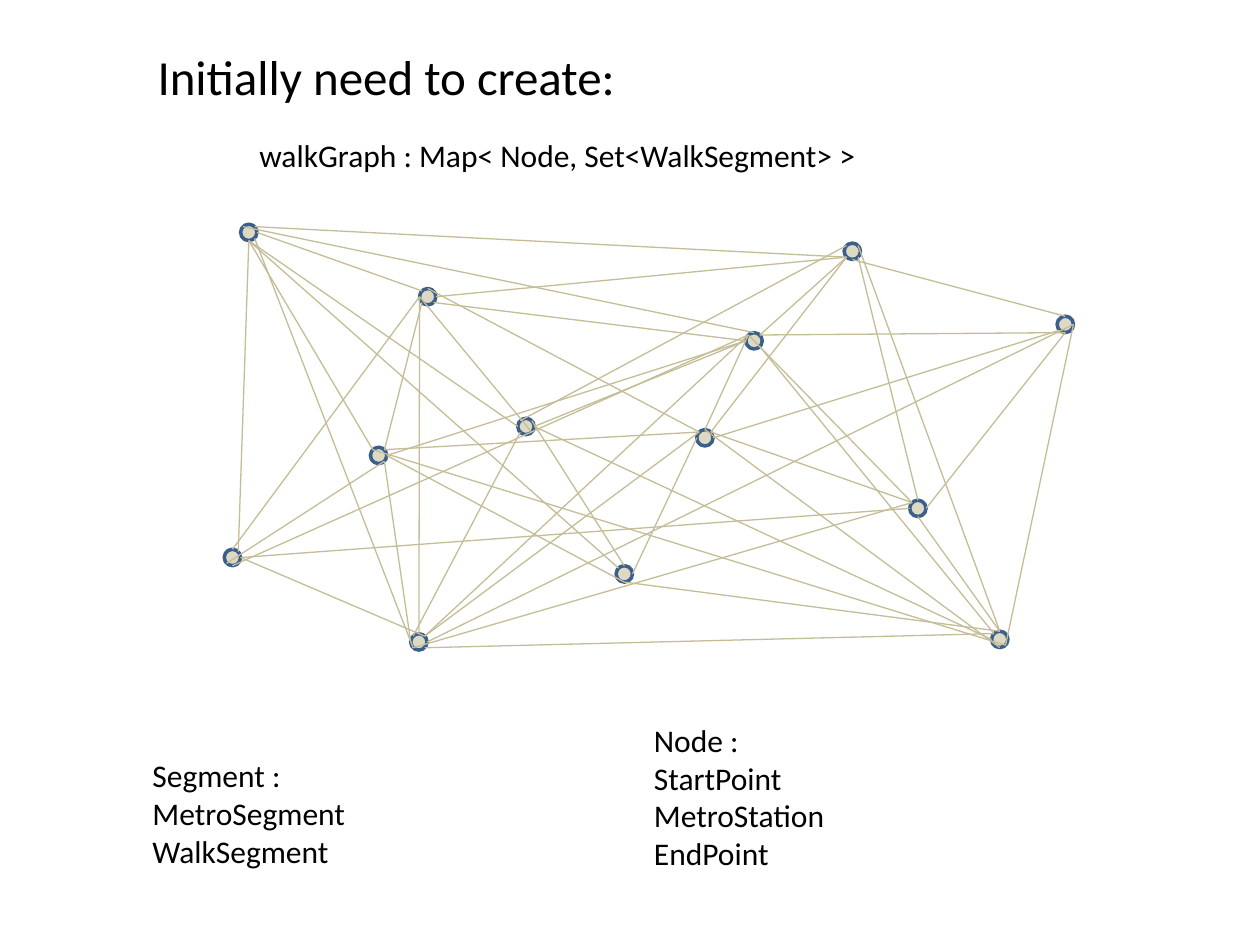
import dataclasses

import lxml.etree
import pptx
import pptx.dml.color
import pptx.enum.shapes
import pptx.enum.text
import pptx.oxml.ns
import pptx.util
from pptx.util import Inches

NODE_SIZE = 0.13
NODE_FILL = "DDD9C3"
NODE_LINE = "3A5F8C"
SEGMENT_LINE = "C4BD97"
TEXT_COLOR = "000000"
FONT = "Calibri"


@dataclasses.dataclass(frozen=True)
class Node:
    left: float
    top: float

    def site(self, direction: str) -> tuple[float, float]:
        """Point on the circle in a compass direction."""
        across = ("e" in direction) - ("w" in direction)
        down = ("s" in direction) - ("n" in direction)
        radius = NODE_SIZE / 2
        reach = radius if len(direction) == 1 else radius * 0.7071
        return self.left + radius + across * reach, self.top + radius + down * reach


@dataclasses.dataclass(frozen=True)
class TextBlock:
    left: float
    top: float
    width: float
    height: float
    text: str
    size: int = 18
    wrap: bool = True


NODES = {
    "A": Node(3.33, 2.29), "B": Node(1.91, 1.78), "C": Node(1.78, 4.36),
    "D": Node(3.26, 5.03), "E": Node(5.53, 3.41), "F": Node(2.94, 3.55),
    "G": Node(4.89, 4.49), "H": Node(5.92, 2.64), "I": Node(4.11, 3.32),
    "J": Node(7.22, 3.97), "K": Node(6.70, 1.93), "L": Node(8.39, 2.51),
    "M": Node(7.87, 5.01),
}

# Each segment joins two nodes: node letter, then the side it touches
SEGMENTS = """
Be-Anw Ase-Hw Bs-Iw Ie-Hw Ae-Ksw Bse-Dsw Bs-Fnw Bs-Cne Csw-Fse Cs-Hnw
Fne-Enw Ge-Ew Bs-Gnw Fe-Hw Hne-Ksw Ee-Lsw Js-Mn Ce-Jw Gs-Mn Dsw-Jnw
Dse-Mnw Ce-Dne Mse-Le Jn-Kse Jnw-Hnw Ene-Jnw Je-Ls Hne-Ls Ln-Ks Ise-Aw
Hn-Bnw Ksw-Bne En-Hnw Dne-Hnw Ms-En Fe-Gs Fse-Dw Fnw-Mse Isw-Dnw Aw-Dn
Asw-Fne Aw-Cn Knw-Inw Ksw-Ene Ine-Gn De-Le Dne-Enw An-Enw Kne-Mn Hse-Mnw
Ie-Mw
""".split()

TITLE = TextBlock(1.15, 0.32, 7.88, 0.57, "Initially need to create:", size=28)
GRAPH_TYPE = TextBlock(1.96, 1.03, 5.05, 0.4,
                       "walkGraph : Map< Node, Set<WalkSegment> >", wrap=False)
LISTS = [
    TextBlock(1.11, 5.95, 1.75, 1.01, "Segment :\nMetroSegment\nWalkSegment", wrap=False),
    TextBlock(5.09, 5.67, 2.89, 1.31, "Node :\nStartPoint\nMetroStation\nEndPoint"),
]


def color(value: str) -> pptx.dml.color.RGBColor:
    return pptx.dml.color.RGBColor.from_string(value)


def write_text(shape, block: TextBlock) -> None:
    shape.left, shape.top = Inches(block.left), Inches(block.top)
    shape.width, shape.height = Inches(block.width), Inches(block.height)
    frame = shape.text_frame
    frame.text = block.text
    frame.word_wrap = block.wrap
    frame.auto_size = pptx.enum.text.MSO_AUTO_SIZE.NONE
    frame.vertical_anchor = pptx.enum.text.MSO_ANCHOR.TOP
    for paragraph in frame.paragraphs:
        paragraph.alignment = pptx.enum.text.PP_ALIGN.LEFT
        paragraph.space_before = pptx.util.Pt(0)
        # Plain lines: no bullet, no hanging indent
        properties = paragraph._p.get_or_add_pPr()
        properties.set("marL", "0")
        properties.set("indent", "0")
        lxml.etree.SubElement(properties, pptx.oxml.ns.qn("a:buNone"))
        for run in paragraph.runs:
            run.font.name = FONT
            run.font.size = pptx.util.Pt(block.size)
            run.font.color.rgb = color(TEXT_COLOR)


def draw_node(shapes, node: Node) -> None:
    circle = shapes.add_shape(
        pptx.enum.shapes.MSO_SHAPE.FLOWCHART_CONNECTOR,
        Inches(node.left), Inches(node.top), Inches(NODE_SIZE), Inches(NODE_SIZE))
    circle.shadow.inherit = False
    circle.fill.solid()
    circle.fill.fore_color.rgb = color(NODE_FILL)
    circle.line.color.rgb = color(NODE_LINE)
    circle.line.width = pptx.util.Pt(2)


def draw_segment(shapes, segment: str) -> None:
    start, end = (NODES[name[0]].site(name[1:]) for name in segment.split("-"))
    line = shapes.add_connector(
        pptx.enum.shapes.MSO_CONNECTOR.STRAIGHT,
        *(Inches(length) for length in start + end))
    line.line.color.rgb = color(SEGMENT_LINE)
    line.line.width = pptx.util.Pt(0.75)
    lxml.etree.SubElement(line._element.spPr, pptx.oxml.ns.qn("a:effectLst"))


presentation = pptx.Presentation()
presentation.slide_width, presentation.slide_height = Inches(10), Inches(7.5)
slide = presentation.slides.add_slide(
    presentation.slide_layouts.get_by_name("Two Content"))

# Walk graph
graph = slide.shapes.add_group_shape()
for node in NODES.values():
    draw_node(graph.shapes, node)
for segment in SEGMENTS:
    draw_segment(graph.shapes, segment)

# Title, graph type and class lists
write_text(slide.shapes.title, TITLE)
write_text(slide.shapes.add_textbox(0, 0, 0, 0), GRAPH_TYPE)
for index, block in enumerate(LISTS, start=1):
    write_text(slide.placeholders[index], block)

presentation.save("out.pptx")
